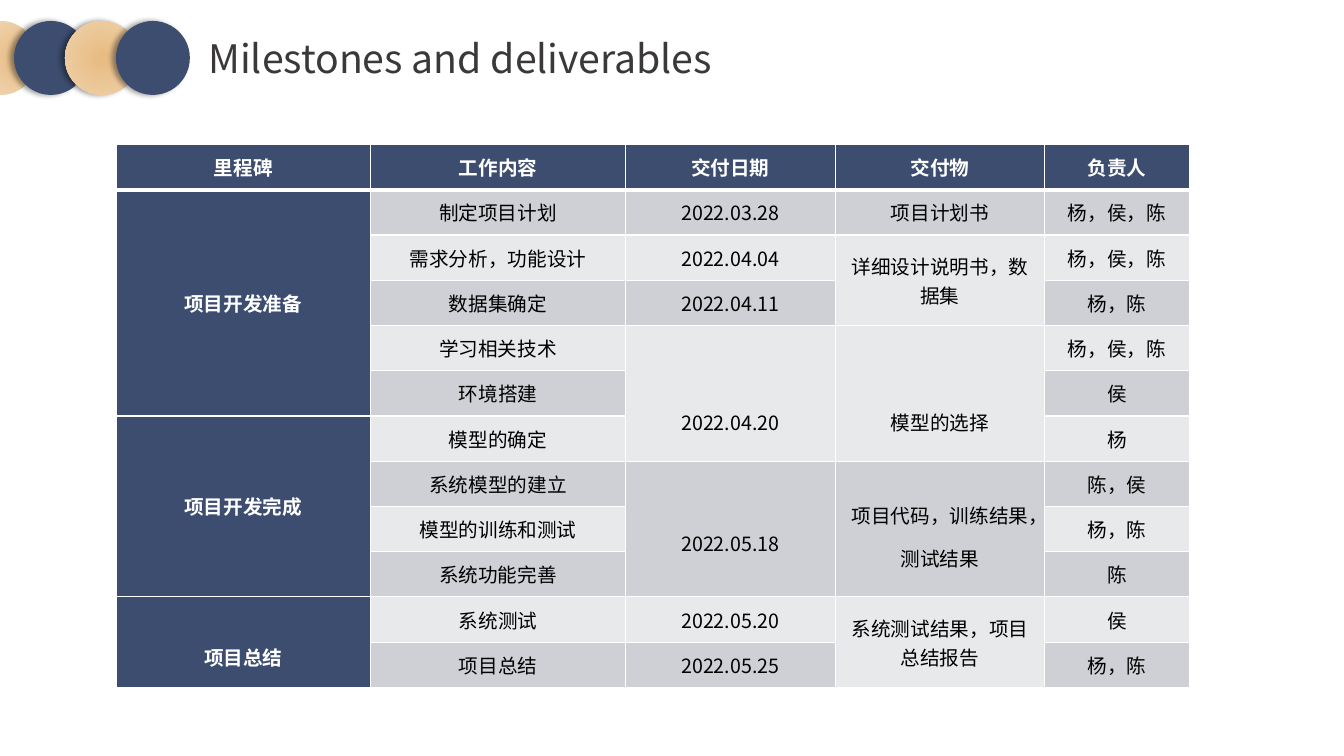
from math import cos, pi, sin

from lxml.etree import SubElement
from pptx import Presentation
from pptx.dml.color import RGBColor
from pptx.enum.shapes import MSO_SHAPE
from pptx.enum.text import MSO_ANCHOR, MSO_AUTO_SIZE, PP_ALIGN
from pptx.oxml.ns import qn
from pptx.util import Pt

COLORS = {"navy": "3D4D6F", "gold": "E7BB81", "sand": "EFD2AB", "white": "FFFFFF",
          "black": "000000", "title": "3B3838", "band_dark": "CED0D5", "band_light": "E8E9EB"}
FONT = "Noto Sans CJK SC"
CELL_FORMAT = {"margin_left": Pt(5.4), "margin_right": Pt(5.4), "margin_top": 0,
               "margin_bottom": 0, "vertical_anchor": MSO_ANCHOR.MIDDLE}
HEADING_FONT = {"name": FONT, "size": Pt(28), "bold": False}
LABEL_FONT = {"name": FONT, "size": Pt(14), "bold": True}
BODY_FONT = {"name": FONT, "size": Pt(14), "bold": False}

COLUMN_WIDTHS = [182, 182, 149.8, 149.8, 103.2]
MILESTONES = [
    ["里程碑", "工作内容", "交付日期", "交付物", "负责人"],
    ["项目开发准备", "制定项目计划", "2022.03.28", "项目计划书", "杨，侯，陈"],
    [None, "需求分析，功能设计", "2022.04.04", "详细设计说明书，数据集", "杨，侯，陈"],
    [None, "数据集确定", "2022.04.11", None, "杨，陈"],
    [None, "学习相关技术", "2022.04.20", "模型的选择", "杨，侯，陈"],
    [None, "环境搭建", None, None, "侯"],
    ["项目开发完成", "模型的确定", None, None, "杨"],
    [None, "系统模型的建立", "2022.05.18", "项目代码，训练结果，测试结果", "陈，侯"],
    [None, "模型的训练和测试", None, None, "杨，陈"],
    [None, "系统功能完善", None, None, "陈"],
    ["项目总结", "系统测试", "2022.05.20", "系统测试结果，项目总结报告", "侯"],
    [None, "项目总结", "2022.05.25", None, "杨，陈"],
]
LINE_SPACING = {(4, 2): 3.0, (4, 3): 3.0, (7, 2): 2.0, (7, 3): 1.5, (10, 0): 2.0}


def rgb(color):
    return RGBColor.from_string(COLORS[color])


def apply_format(target, values):
    for attribute, value in values.items():
        setattr(target, attribute, value)


def write(frame, text, font, color):
    run = frame.paragraphs[0].add_run()
    run.text = text
    apply_format(run.font, font)
    run.font.color.rgb = rgb(color)
    SubElement(run.font._element, qn("a:ea"), typeface=FONT)


def fill_radial(shape):
    shape.fill.gradient()
    for stop, color in zip(shape.fill.gradient_stops, ("gold", "sand")):
        stop.color.rgb = rgb(color)
    gradient = shape._element.spPr.find(qn("a:gradFill"))
    gradient.remove(gradient.find(qn("a:lin")))
    radial = SubElement(gradient, qn("a:path"), path="circle")
    SubElement(radial, qn("a:fillToRect"), l="50000", t="50000", r="50000", b="50000")


def style_disc(disc, is_navy):
    if is_navy:
        disc.fill.solid()
        disc.fill.fore_color.rgb = rgb("navy")
    else:
        fill_radial(disc)
    disc.line.fill.background()
    disc.shadow.inherit = False


def cast_shadow(disc):
    effects = disc._element.spPr.find(qn("a:effectLst"))
    shadow = SubElement(effects, qn("a:outerShdw"), blurRad=str(Pt(4)), dist=str(Pt(3)),
                        dir="10800000", algn="r", rotWithShape="0")
    tint = SubElement(shadow, qn("a:srgbClr"), val=COLORS["black"])
    SubElement(tint, qn("a:alpha"), val="40000")


def add_disc_chain(slide, left, top, diameter, step):
    radius = diameter / 2
    arc = [(Pt(left + radius * sin(pi * i / 90)),
            Pt(top + radius - radius * cos(pi * i / 90))) for i in range(91)]
    outline = slide.shapes.build_freeform(*arc[0])
    outline.add_line_segments(arc[1:], close=True)
    style_disc(outline.convert_to_shape(), False)
    for index in range(1, 4):
        disc = slide.shapes.add_shape(MSO_SHAPE.OVAL, Pt(left - radius + index * step),
                                      Pt(top), Pt(diameter), Pt(diameter))
        style_disc(disc, index % 2 == 1)
        cast_shadow(disc)


def add_heading(slide, left, top, width, height):
    heading = slide.shapes.add_textbox(Pt(left), Pt(top), Pt(width), Pt(height)).text_frame
    apply_format(heading, {"word_wrap": True, "auto_size": MSO_AUTO_SIZE.SHAPE_TO_FIT_TEXT})
    write(heading, "Milestones and deliverables", HEADING_FONT, "title")


def add_borders(cell, row):
    widths = {"lnL": 1, "lnR": 1, "lnT": 3 if row == 1 else 1, "lnB": 3 if row == 0 else 1}
    for side, width in widths.items():
        border = SubElement(cell._tc.get_or_add_tcPr(), qn("a:" + side), w=str(Pt(width)))
        paint = SubElement(border, qn("a:solidFill"))
        SubElement(paint, qn("a:srgbClr"), val=COLORS["white"])


def last_spanned_row(row, column):
    while row + 1 < len(MILESTONES) and MILESTONES[row + 1][column] is None:
        row += 1
    return row


def add_milestone_table(slide, left, top, width, height):
    row_count = len(MILESTONES)
    table = slide.shapes.add_table(row_count, len(COLUMN_WIDTHS), Pt(left), Pt(top),
                                   Pt(width), Pt(height)).table
    apply_format(table, {"first_row": False, "horz_banding": False})
    for column, column_width in zip(table.columns, COLUMN_WIDTHS):
        column.width = Pt(column_width)
    for row in table.rows:
        row.height = Pt(height / row_count)
    for column in range(len(COLUMN_WIDTHS)):
        for row in range(row_count):
            text = MILESTONES[row][column]
            cell = table.cell(row, column)
            is_label = row == 0 or column == 0
            if text is not None:
                band = "navy" if is_label else "band_dark" if row % 2 else "band_light"
            add_borders(cell, row)
            cell.fill.solid()
            cell.fill.fore_color.rgb = rgb(band)
            apply_format(cell, CELL_FORMAT)
            if text is None:
                continue
            paragraph = cell.text_frame.paragraphs[0]
            apply_format(paragraph, {"alignment": PP_ALIGN.CENTER,
                                     "line_spacing": LINE_SPACING.get((row, column))})
            write(cell.text_frame, text, LABEL_FONT if is_label else BODY_FONT,
                  "white" if is_label else "black")
            last = last_spanned_row(row, column)
            if last > row:
                cell.merge(table.cell(last, column))


def build_milestone_slide(deck):
    slide = deck.slides.add_slide(deck.slide_layouts[6])
    add_disc_chain(slide, left=0, top=15, diameter=52.8, step=36.4)
    add_milestone_table(slide, left=82.8, top=103.2, width=sum(COLUMN_WIDTHS), height=388)
    add_heading(slide, left=141.8, top=21, width=478, height=41)


deck = Presentation()
apply_format(deck, {"slide_width": Pt(960), "slide_height": Pt(540)})
build_milestone_slide(deck)
deck.save("out.pptx")
